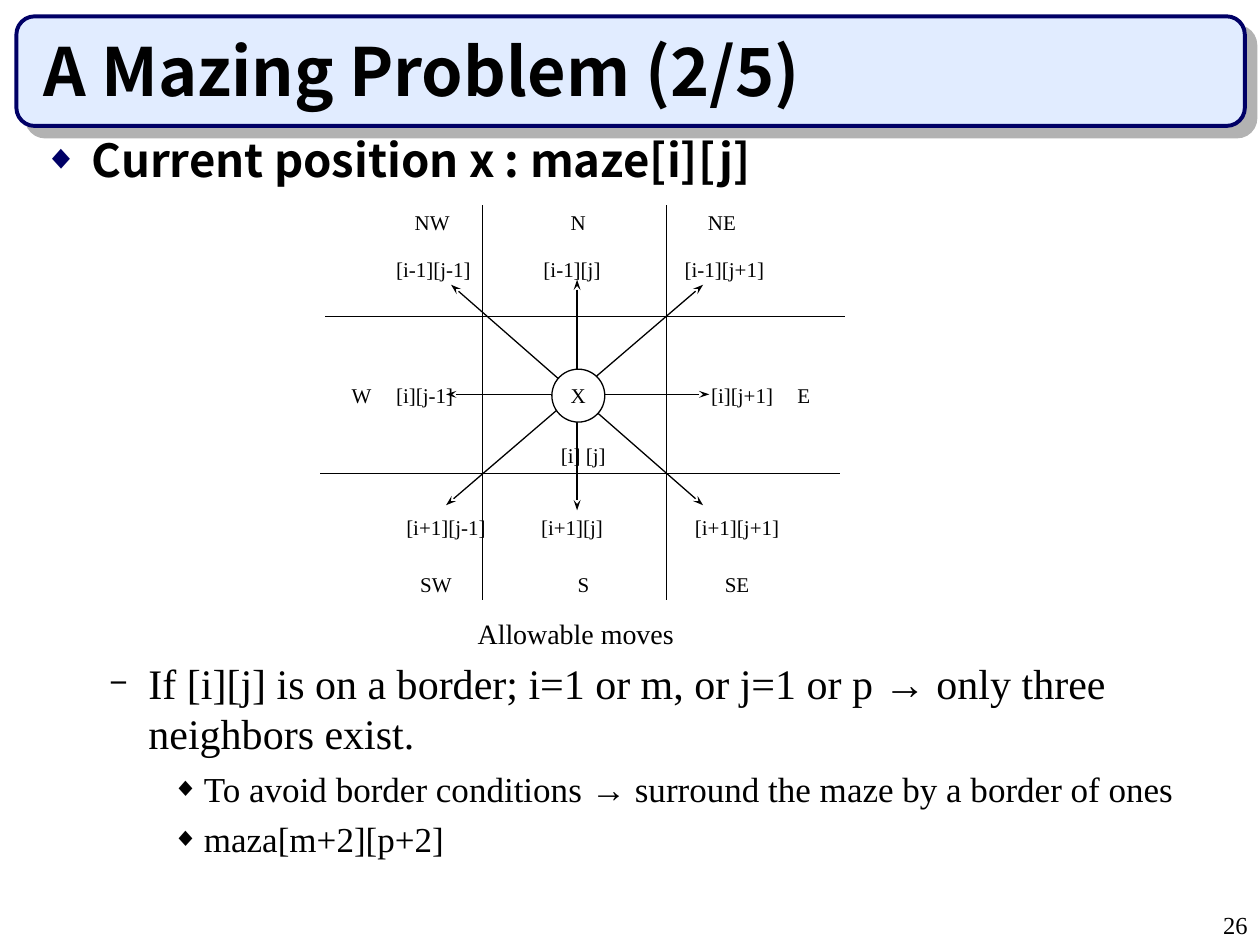
import lxml.etree
import pptx
import pptx.dml.color
import pptx.enum.shapes
import pptx.enum.text
import pptx.oxml.ns
import pptx.util

PX = 9144  # EMU per px, 100 px to the inch
COLORS = {"ink": "000000", "navy": "000066", "banner": "E1ECFF",
          "shadow": "B2B2B2", "white": "FFFFFF"}
SERIF, HEADING, SYMBOLS = "Times New Roman", "Noto Sans CJK KR", "Arial"
ALIGN = pptx.enum.text.PP_ALIGN
ANCHOR = pptx.enum.text.MSO_ANCHOR
SHAPE = pptx.enum.shapes.MSO_SHAPE


def emu(*lengths):
    return [pptx.util.Emu(length * PX) for length in lengths]


def rgb(name):
    return pptx.dml.color.RGBColor.from_string(COLORS[name])


def add_xml(parent, tag, **attributes):
    return lxml.etree.SubElement(parent, pptx.oxml.ns.qn(tag), attributes)


def style_run(run, size, font=SERIF, bold=False):
    run.font.size = pptx.util.Pt(size)
    run.font.name = font
    run.font.bold = bold
    run.font.color.rgb = rgb("ink")


def add_text(slide, box, text, size, font=SERIF, bold=False, align=ALIGN.LEFT,
             anchor=ANCHOR.TOP, inset=(10, 5), wrap=True):
    frame = slide.shapes.add_textbox(*emu(*box)).text_frame
    frame.word_wrap = wrap
    frame.vertical_anchor = anchor
    frame.margin_left = frame.margin_right = emu(inset[0])[0]
    frame.margin_top = frame.margin_bottom = emu(inset[1])[0]
    frame.text = text
    paragraph = frame.paragraphs[0]
    paragraph.alignment = align
    for run in paragraph.runs:
        style_run(run, size, font, bold)
    return frame


def add_bullet(paragraph, char, color, left, hang):
    properties = paragraph._p.get_or_add_pPr()
    properties.set("marL", str(left * PX))
    properties.set("indent", str(-hang * PX))
    add_xml(add_xml(properties, "a:buClr"), "a:srgbClr", val=COLORS[color])
    add_xml(properties, "a:buSzPct", val="75000")
    add_xml(properties, "a:buFont", typeface=SYMBOLS)
    add_xml(properties, "a:buChar", char=char)


def add_line(slide, start, end, arrows=False):
    line = slide.shapes.add_connector(
        pptx.enum.shapes.MSO_CONNECTOR.STRAIGHT, *emu(*start, *end))
    line.line.color.rgb = rgb("ink")
    line.line.width = pptx.util.Pt(0.75)
    if arrows:
        for tag in ("a:headEnd", "a:tailEnd"):
            add_xml(line.line._get_or_add_ln(), tag, type="stealth", w="sm", len="med")
    add_xml(line._element.spPr, "a:effectLst")


def add_banner(slide, box, title):
    left, top, width, height = box
    banner = slide.shapes.add_shape(SHAPE.ROUNDED_RECTANGLE, *emu(*box))
    banner.fill.solid()
    banner.fill.fore_color.rgb = rgb("banner")
    banner.line.color.rgb = rgb("navy")
    banner.line.width = pptx.util.Pt(2.25)
    # Hard shadow, down and to the right
    shadow = add_xml(add_xml(banner._element.spPr, "a:effectLst"), "a:outerShdw",
                     dist=str(pptx.util.Pt(8.5)), dir="2700000", algn="ctr", rotWithShape="0")
    add_xml(shadow, "a:srgbClr", val=COLORS["shadow"])
    add_text(slide, (left + 12, top + 12, width - 33, height - 20), title, 38,
             HEADING, True, anchor=ANCHOR.BOTTOM)


def add_heading(slide, box, text):
    paragraph = add_text(slide, box, text, 26, HEADING, True).paragraphs[0]
    paragraph.line_spacing = 0.8
    add_bullet(paragraph, "◆", "navy", 38, 38)


def add_moves_diagram(slide, box):
    left, top, width, height = box

    def place(x, y):
        return left + x, top + y

    # Cell borders: the upper rule sits slightly to the right
    for x, y in ((4, 88), (0, 213)):
        add_line(slide, place(x, y), place(x + width - 4, y))
    for x in (129, 275):
        add_line(slide, place(x, 0), place(x, height))

    # Double-headed arrows through the current position
    for start, end in (((100, 150), (309, 150)), ((204, 59), (204, 242)),
                       ((104, 63), (304, 238)), ((100, 238), (304, 63))):
        add_line(slide, place(*start), place(*end), arrows=True)

    position = slide.shapes.add_shape(SHAPE.OVAL, *emu(*place(184, 130), 42, 42))
    position.shadow.inherit = False
    position.fill.solid()
    position.fill.fore_color.rgb = rgb("white")
    position.line.color.rgb = rgb("ink")
    position.line.width = pptx.util.Pt(0.75)

    # Labels by row: top, then text with its centre
    rows = {
        3: (("NW", 89), ("N", 205), ("NE", 319)),
        41: (("[i-1][j-1]", 90), ("[i-1][j]", 200), ("[i-1][j+1]", 321)),
        141: (("W", 33), ("[i][j-1]", 83), ("X", 205), ("[i][j+1]", 335), ("E", 384)),
        188: (("[i] [j]", 209),),
        245: (("[i+1][j-1]", 100), ("[i+1][j]", 200), ("[i+1][j+1]", 331)),
        291: (("SW", 92), ("S", 209), ("SE", 331)),
    }
    for y, labels in rows.items():
        for text, center in labels:
            label_width = 6 * len(text) + 24
            add_text(slide, (*place(center - label_width // 2, y), label_width, 20),
                     text, 12, align=ALIGN.CENTER, inset=(0, 0), wrap=False)

    # Caption
    add_text(slide, (*place(115, height + 8), 176, 37), "Allowable moves", 16,
             align=ALIGN.CENTER, anchor=ANCHOR.MIDDLE, wrap=False)


def add_notes_list(slide, box, items):
    frame = add_text(slide, box, "", 24)
    for index, (level, text) in enumerate(items):
        paragraph = frame.add_paragraph() if index else frame.paragraphs[0]
        char, left, hang, size = {1: ("−", 81, 31, 24), 2: ("◆", 125, 25, 20)}[level]
        paragraph.level = level
        if index:
            paragraph.space_before = pptx.util.Pt(5)
        add_bullet(paragraph, char, "ink", left, hang)
        before, arrow, after = text.partition("→")
        for part, font in ((before, SERIF), (arrow, SYMBOLS), (after, SERIF)):
            if part:
                run = paragraph.add_run()
                run.text = part
                style_run(run, size, font)


def main():
    deck = pptx.Presentation()
    deck.slide_width, deck.slide_height = emu(1000, 750)
    slide = deck.slides.add_slide(deck.slide_layouts[6])

    add_banner(slide, (13, 13, 975, 87), "A Mazing Problem (2/5)")
    add_heading(slide, (25, 108, 942, 62), "Current position x : maze[i][j]")
    add_moves_diagram(slide, (254, 163, 417, 313))
    add_notes_list(slide, (27, 517, 942, 196), (
        (1, "If [i][j] is on a border; i=1 or m, or j=1 or p → only three neighbors exist."),
        (2, "To avoid border conditions → surround the maze by a border of ones"),
        (2, "maza[m+2][p+2]"),
    ))
    # Page number
    add_text(slide, (792, 717, 208, 33), "26", 14, align=ALIGN.RIGHT)

    deck.save("out.pptx")


if __name__ == "__main__":
    main()
